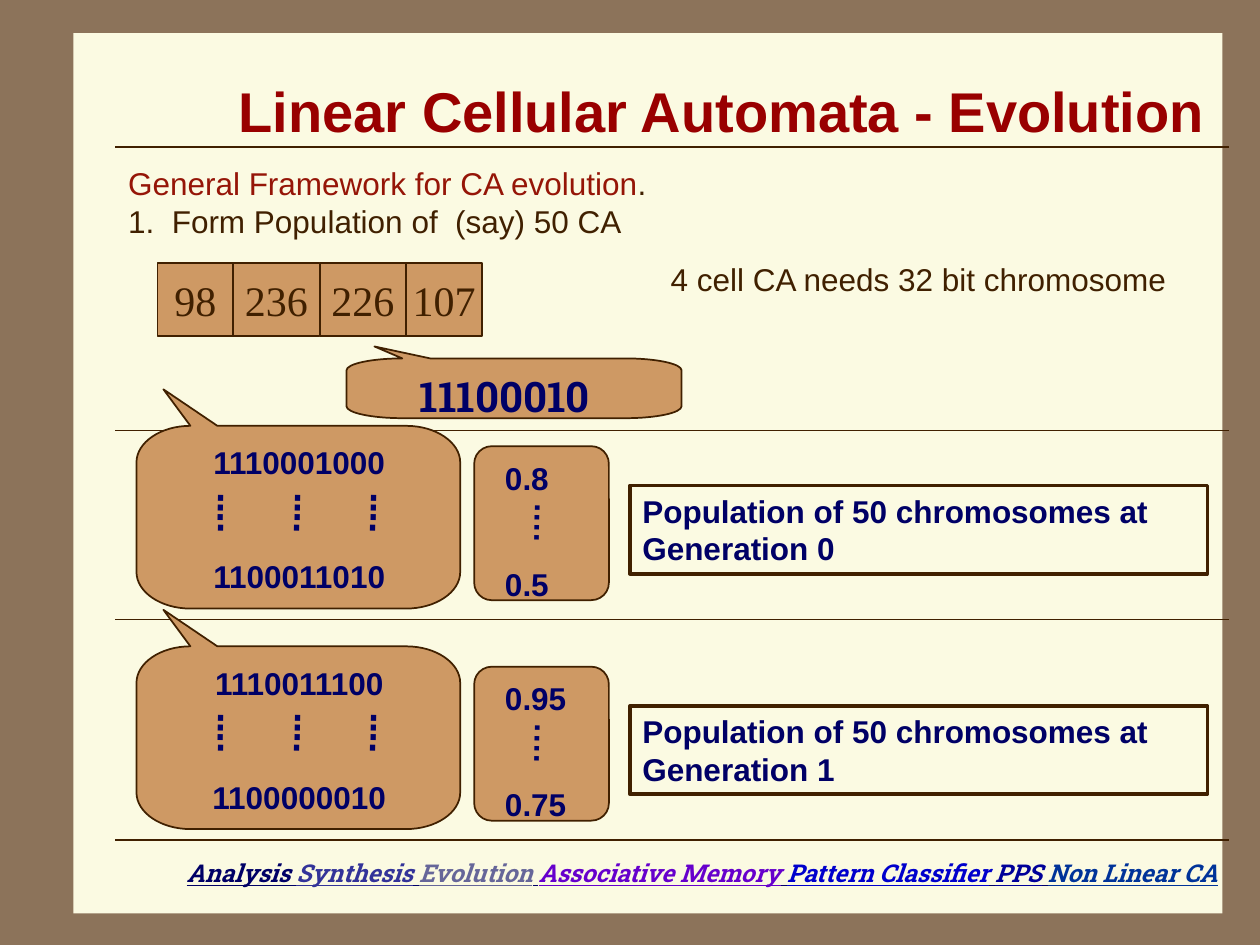
"""Build the slide on the evolution of linear cellular automata."""
import lxml.etree
import pptx
import pptx.dml.color
import pptx.enum.shapes
import pptx.enum.text
import pptx.oxml.ns
import pptx.util

Pt = pptx.util.Pt
RGB = pptx.dml.color.RGBColor.from_string
ALIGN = pptx.enum.text.PP_ALIGN
ANCHOR = pptx.enum.text.MSO_ANCHOR
SHAPE = pptx.enum.shapes.MSO_SHAPE
qn = pptx.oxml.ns.qn

COLORS = {
    "frame": "8C735A",
    "paper": "FBFAE2",
    "brown": "402000",
    "tan": "CE9964",
    "navy": "000066",
    "title": "990000",
    "heading": "951507",
    "synthesis": "333399",
    "evolution": "666699",
    "memory": "6600CC",
    "pattern": "0000CC",
    "pps": "000099",
    "nonlinear": "003399",
}


def write_text(shape, text, *, font="Arial", size=18, color="navy", bold=False, italic=False,
               underline=False, align=ALIGN.LEFT, anchor=ANCHOR.TOP, wrap=True):
    """Add a formatted run to the last paragraph of a shape."""
    frame = shape.text_frame
    frame.word_wrap = wrap
    frame.vertical_anchor = anchor
    paragraph = frame.paragraphs[-1]
    paragraph.alignment = align
    run = paragraph.add_run()
    run.text = text
    run.font.name = font
    run.font.size = Pt(size)
    run.font.bold = bold
    run.font.italic = italic
    run.font.underline = underline
    run.font.color.rgb = RGB(COLORS[color])


def style_shape(shape, fill=None, line="brown", width=1):
    """Set fill and outline and drop the shadow."""
    shape.shadow.inherit = False
    if fill:
        shape.fill.solid()
        shape.fill.fore_color.rgb = RGB(COLORS[fill])
    else:
        shape.fill.background()
    if line:
        shape.line.color.rgb = RGB(COLORS[line])
        shape.line.width = Pt(width)
    else:
        shape.line.fill.background()


presentation = pptx.Presentation()
presentation.slide_width = Pt(720)
presentation.slide_height = Pt(540)
slide = presentation.slides.add_slide(presentation.slide_layouts[1])
shapes = slide.shapes
title, body = shapes.title, slide.placeholders[1]
slide.background.fill.solid()
slide.background.fill.fore_color.rgb = RGB(COLORS["frame"])

paper = shapes.add_shape(SHAPE.RECTANGLE, Pt(42), Pt(19), Pt(656.5), Pt(503))
style_shape(paper, "paper", line=None)
shapes._spTree.remove(paper._element)
shapes._spTree.insert(2, paper._element)

for y in (84, 246, 354, 480):
    rule = shapes.add_connector(pptx.enum.shapes.MSO_CONNECTOR.STRAIGHT, Pt(66), Pt(y), Pt(702), Pt(y))
    rule.line.color.rgb = RGB(COLORS["brown"])
    rule.line.width = Pt(1)
    lxml.etree.SubElement(rule._element.spPr, qn("a:effectLst"))

title.left, title.top, title.width, title.height = map(Pt, (78, 24, 618, 78))
title.text_frame.auto_size = pptx.enum.text.MSO_AUTO_SIZE.NONE
write_text(title, "Linear Cellular Automata - Evolution", size=32, color="title", bold=True,
           align=ALIGN.RIGHT, anchor=ANCHOR.MIDDLE)

body.left, body.top, body.width, body.height = map(Pt, (66, 90, 624, 50.5))
body.text_frame.auto_size = pptx.enum.text.MSO_AUTO_SIZE.NONE
write_text(body, "General Framework for CA evolution", color="heading")
write_text(body, ".", color="brown")
body.text_frame.add_paragraph()
write_text(body, "Form Population of  (say) 50 CA", color="brown")
for paragraph, indent in zip(body.text_frame.paragraphs, (0, 25)):
    paragraph.space_before = Pt(0)
    properties = paragraph._p.get_or_add_pPr()
    properties.set("marL", str(Pt(indent)))
    properties.set("indent", str(-Pt(indent)))
    if indent:
        bullet_font = lxml.etree.SubElement(properties, qn("a:buFont"))
        bullet_font.set("typeface", "Arial")
        bullet = lxml.etree.SubElement(properties, qn("a:buAutoNum"))
        bullet.set("type", "arabicPeriod")
    else:
        lxml.etree.SubElement(properties, qn("a:buNone"))

cell_left = 90
for rule_number, cell_width in (("98", 43.2), ("236", 49.5), ("226", 49.5), ("107", 43.2)):
    cell = shapes.add_shape(SHAPE.RECTANGLE, Pt(cell_left), Pt(150.5), Pt(cell_width), Pt(41.5))
    style_shape(cell, "tan")
    cell.text_frame.margin_left = cell.text_frame.margin_right = 0
    write_text(cell, rule_number, font="Times New Roman", size=24, color="brown",
               align=ALIGN.CENTER, anchor=ANCHOR.MIDDLE)
    cell_left += cell_width

note = shapes.add_textbox(Pt(375.8), Pt(145), Pt(298), Pt(29))
write_text(note, "4 cell CA needs 32 bit chromosome", color="brown", align=ALIGN.CENTER, wrap=False)

CORNERS = (
    ((100, 20), (120, 20), (120, 40)),
    ((120, 100), (120, 120), (100, 120)),
    ((20, 120), (0, 120), (0, 100)),
    ((0, 40), (0, 20), (20, 20)),
)
for left, top, width, height in ((198, 198, 191.5, 41), (78, 222.5, 185, 125.3), (78, 348.5, 185, 125.3)):
    builder = shapes.build_freeform(10, 0, scale=(Pt(width) / 120, Pt(height) / 120))
    builder.add_line_segments([(30, 20)], close=False)
    for start, corner, end in CORNERS:
        builder.add_line_segments([start, end], close=False)
    builder.add_line_segments([(10, 0)], close=True)
    callout = builder.convert_to_shape(Pt(left), Pt(top))
    style_shape(callout, "tan")
    segments = list(callout._element.iter(qn("a:lnTo")))
    for segment, (start, corner, end) in zip(segments[2::2], CORNERS):
        segment.tag = qn("a:cubicBezTo")
        for index, near in enumerate((start, end)):
            control = lxml.etree.Element(qn("a:pt"))
            for name, a, b in zip("xy", near, corner):
                control.set(name, str(round(a + 0.55 * (b - a))))
            segment.insert(index, control)

bits = shapes.add_textbox(Pt(217.5), Pt(208), Pt(142), Pt(36))
write_text(bits, "11100010", font="Roboto Slab", size=24, bold=True, align=ALIGN.CENTER)

GENERATIONS = (
    (("1110001000", "1100011010"), ("0.8", "0.5")),
    (("1110011100", "1100000010"), ("0.95", "0.75")),
)
for generation, (chromosomes, fitness_values) in enumerate(GENERATIONS):
    offset = 126 * generation
    for top, chromosome in zip((249.8, 314.8), chromosomes):
        box = shapes.add_textbox(Pt(78.5), Pt(top + offset), Pt(185), Pt(29))
        write_text(box, chromosome, bold=True, align=ALIGN.CENTER)
    for left in (110.7, 154.5, 198):
        dots = shapes.add_textbox(Pt(left), Pt(280 + offset), Pt(47), Pt(36))
        dots.rotation = 91
        write_text(dots, "….", font="Roboto Slab", size=24, bold=True, wrap=False)

    panel = shapes.add_shape(SHAPE.ROUNDED_RECTANGLE, Pt(271), Pt(255 + offset), Pt(77), Pt(88))
    panel.adjustments[0] = 0.13
    style_shape(panel, "tan")
    for top, fitness in zip((258.5, 319.3), fitness_values):
        box = shapes.add_textbox(Pt(281.5), Pt(top + offset), Pt(50), Pt(29))
        write_text(box, fitness, bold=True)
    dots = shapes.add_textbox(Pt(282.4), Pt(284.4 + offset), Pt(37.5), Pt(29))
    dots.rotation = 271
    write_text(dots, "….", bold=True, wrap=False)

    label = shapes.add_shape(SHAPE.RECTANGLE, Pt(360), Pt(277.4 + offset), Pt(330), Pt(50.5))
    style_shape(label, width=2)
    write_text(label, f"Population of 50 chromosomes at Generation {generation}", bold=True)

footer = shapes.add_textbox(Pt(43), Pt(487), Pt(660), Pt(41))
for text, color in (
    ("Analysis ", "navy"), ("Synthesis", "synthesis"), (" ", "navy"),
    ("Evolution", "evolution"), (" ", "navy"), ("Associative Memory", "memory"), (" ", "navy"),
    ("Pattern Classifier", "pattern"), (" ", "navy"), ("PPS", "pps"), (" ", "navy"),
    ("Non Linear CA", "nonlinear"),
):
    write_text(footer, text, font="Roboto Slab", size=14, color=color, bold=True, italic=True,
               underline=True, align=ALIGN.RIGHT)

presentation.save("out.pptx")
